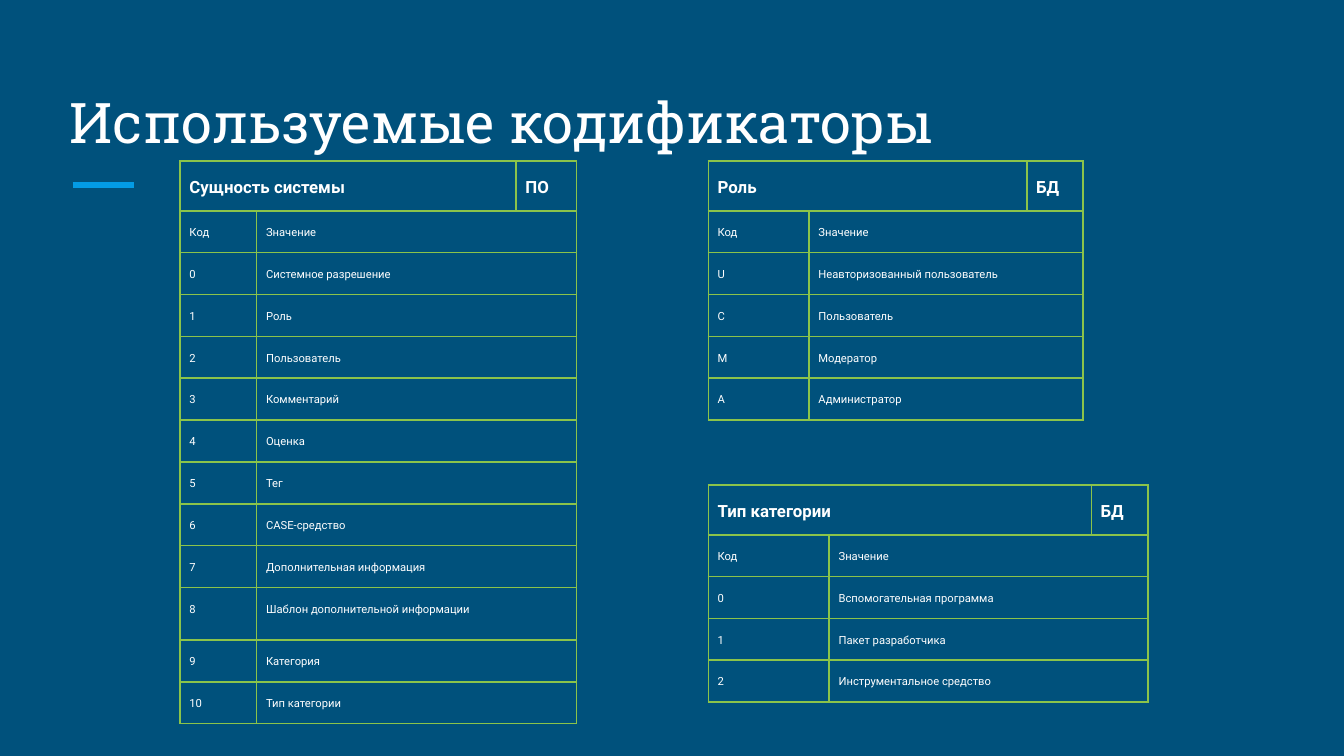
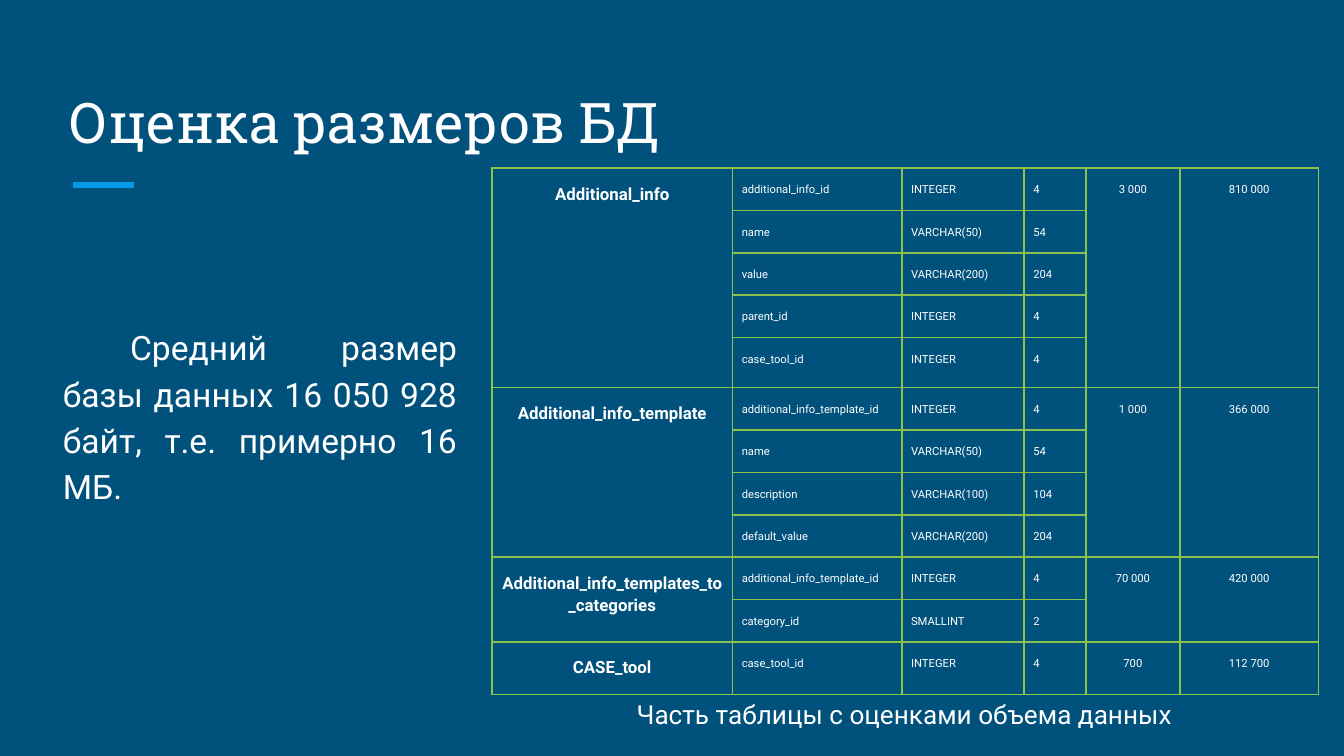
import pptx
import pptx.dml.color
import pptx.enum.shapes
import pptx.enum.text
import pptx.oxml
import pptx.oxml.ns
import pptx.util
from lxml import etree

# Shared look; lengths are in grid steps, 100 steps across the slide
COLUMNS, ROWS = 100, 56.25
STEP = pptx.util.Inches(10) / COLUMNS
BACKGROUND, WHITE, ACCENT, GRID_LINE = "00517C", "FFFFFF", "039BE5", "8BC34A"
BODY_FONT, TITLE_FONT = "Roboto", "Roboto Slab"
HEAD_SIZE, CELL_SIZE = 9, 6
LEFT, CENTER, JUSTIFY = (pptx.enum.text.PP_ALIGN.LEFT,
                         pptx.enum.text.PP_ALIGN.CENTER,
                         pptx.enum.text.PP_ALIGN.JUSTIFY)

ENTITIES = ["Системное разрешение", "Роль", "Пользователь", "Комментарий",
            "Оценка", "Тег", "CASE-средство", "Дополнительная информация",
            "Шаблон дополнительной информации", "Категория", "Тип категории"]
ROLES = [("U", "Неавторизованный пользователь"), ("C", "Пользователь"),
         ("M", "Модератор"), ("A", "Администратор")]
CATEGORY_TYPES = ["Вспомогательная программа", "Пакет разработчика",
                  "Инструментальное средство"]

# Name, fields (name, type, bytes), record count, total bytes
DATABASE_TABLES = [
    ("Additional_info",
     [("additional_info_id", "INTEGER", 4), ("name", "VARCHAR(50)", 54),
      ("value", "VARCHAR(200)", 204), ("parent_id", "INTEGER", 4),
      ("case_tool_id", "INTEGER", 4)], "3 000", "810 000"),
    ("Additional_info_template",
     [("additional_info_template_id", "INTEGER", 4), ("name", "VARCHAR(50)", 54),
      ("description", "VARCHAR(100)", 104), ("default_value", "VARCHAR(200)", 204)],
     "1 000", "366 000"),
    ("Additional_info_templates_to_categories",
     [("additional_info_template_id", "INTEGER", 4), ("category_id", "SMALLINT", 2)],
     "70 000", "420 000"),
    ("CASE_tool", [("case_tool_id", "INTEGER", 4)], "700", "112 700"),
]


def steps(count):
    return pptx.util.Emu(round(count * STEP))


def color(hex_code):
    return pptx.dml.color.RGBColor.from_string(hex_code)


def style(para, size, align=LEFT, font=BODY_FONT, bold=False, spacing=None):
    para.alignment = align
    para.line_spacing = spacing
    para.font.name = font
    para.font.size = pptx.util.Pt(size)
    para.font.bold = bold
    para.font.color.rgb = color(WHITE)


def set_margins(frame):
    frame.margin_left = frame.margin_right = steps(1)
    frame.margin_top = frame.margin_bottom = steps(1)
    frame.word_wrap = True


def add_page(deck, title):
    page = deck.slides.add_slide(deck.slide_layouts[5])
    # Accent rule under the title
    rule = page.shapes.add_connector(pptx.enum.shapes.MSO_CONNECTOR.STRAIGHT,
                                     steps(5.4), steps(13.75), steps(10), steps(13.75))
    rule.line.color.rgb = color(ACCENT)
    rule.line.width = pptx.util.Pt(3)
    etree.SubElement(rule._element.spPr, pptx.oxml.ns.qn("a:effectLst"))
    # Title
    box = page.shapes.title
    box.left, box.top, box.width, box.height = map(steps, (4.2, 5, 91.5, 7.5))
    frame = box.text_frame
    frame.text = title
    set_margins(frame)
    frame.auto_size = pptx.enum.text.MSO_AUTO_SIZE.NONE
    frame.vertical_anchor = pptx.enum.text.MSO_ANCHOR.BOTTOM
    style(frame.paragraphs[0], 30, font=TITLE_FONT)
    return page


def add_text(page, area, text, size, align, spacing=None):
    frame = page.shapes.add_textbox(*map(steps, area)).text_frame
    set_margins(frame)
    para = frame.paragraphs[0]
    para.text = text
    style(para, size, align, spacing=spacing)
    return para


def add_borders(cell):
    properties = cell._tc.get_or_add_tcPr()
    for index, side in enumerate(("lnL", "lnR", "lnT", "lnB")):
        properties.insert(index, pptx.oxml.parse_xml(
            f'<a:{side} {pptx.oxml.ns.nsdecls("a")} w="{pptx.util.Pt(1)}">'
            f'<a:solidFill><a:srgbClr val="{GRID_LINE}"/></a:solidFill></a:{side}>'))


def fill_cell(cell, text, head=False, align=JUSTIFY):
    cell.text = str(text)
    style(cell.text_frame.paragraphs[0], HEAD_SIZE if head else CELL_SIZE,
          align, bold=head, spacing=1.15)


def add_grid(page, left, top, widths, heights):
    table = page.shapes.add_table(len(heights), len(widths), steps(left), steps(top),
                                  steps(sum(widths)), steps(sum(heights))).table
    table.first_row = table.horz_banding = False
    for column, width in zip(table.columns, widths):
        column.width = steps(width)
    for row, height in zip(table.rows, heights):
        row.height = steps(height)
    for cell in table.iter_cells():
        cell.margin_left = cell.margin_right = steps(0.7)
        cell.margin_top = cell.margin_bottom = steps(1)
        cell.fill.background()
        add_borders(cell)
        fill_cell(cell, "")
    return table


def add_code_table(page, left, top, widths, name, place, entries, tall_row=None):
    lines = [("Код", "Значение"), *entries]
    heights = [3.9 if row == tall_row else 2 for row in range(len(lines) + 1)]
    table = add_grid(page, left, top, widths, heights)
    table.cell(0, 0).merge(table.cell(0, 1))
    fill_cell(table.cell(0, 0), name, head=True)
    fill_cell(table.cell(0, 2), place, head=True)
    for row, (code, value) in enumerate(lines, 1):
        table.cell(row, 1).merge(table.cell(row, 2))
        fill_cell(table.cell(row, 0), code)
        fill_cell(table.cell(row, 1), value)


def add_size_table(page, left, top, widths):
    heights = [2.8] * sum(len(fields) for _, fields, _, _ in DATABASE_TABLES)
    heights[4], heights[-1] = 3.7, 3.9
    table = add_grid(page, left, top, widths, heights)
    first = 0
    for name, fields, count, total in DATABASE_TABLES:
        last = first + len(fields) - 1
        for column, text in ((0, name), (4, count), (5, total)):
            if last > first:
                table.cell(first, column).merge(table.cell(last, column))
            fill_cell(table.cell(first, column), text, head=column == 0, align=CENTER)
        for row, field in enumerate(fields, first):
            for column, text in enumerate(field, 1):
                fill_cell(table.cell(row, column), text)
        first = last + 1


def main():
    deck = pptx.Presentation()
    deck.slide_width, deck.slide_height = steps(COLUMNS), steps(ROWS)
    backdrop = deck.slide_master.background.fill
    backdrop.solid()
    backdrop.fore_color.rgb = color(BACKGROUND)

    # Code lists
    page = add_page(deck, "Используемые кодификаторы")
    add_code_table(page, 13.4, 12, (5.7, 19.3, 4.5), "Сущность системы", "ПО",
                   enumerate(ENTITIES), tall_row=10)
    add_code_table(page, 52.7, 12, (7.5, 16.2, 4.2), "Роль", "БД", ROLES)
    add_code_table(page, 52.7, 36.1, (9, 19.5, 4.2), "Тип категории", "БД",
                   enumerate(CATEGORY_TYPES))

    # Database size
    page = add_page(deck, "Оценка размеров БД")
    summary = add_text(page, (3.7, 22.9, 31.3, 16.9),
                       "Средний размер базы данных 16 050 928 байт, т.е. примерно 16 МБ.",
                       18, JUSTIFY, spacing=1.15)
    summary.space_after = pptx.util.Pt(12)
    summary._p.get_or_add_pPr().set("indent", str(steps(5)))
    add_size_table(page, 36.6, 12.5, (17.9, 12.6, 9.1, 4.6, 7, 10.3))
    add_text(page, (45.1, 51, 44.4, 4.4), "Часть таблицы с оценками объема данных",
             14, CENTER)

    deck.save("out.pptx")


if __name__ == "__main__":
    main()
